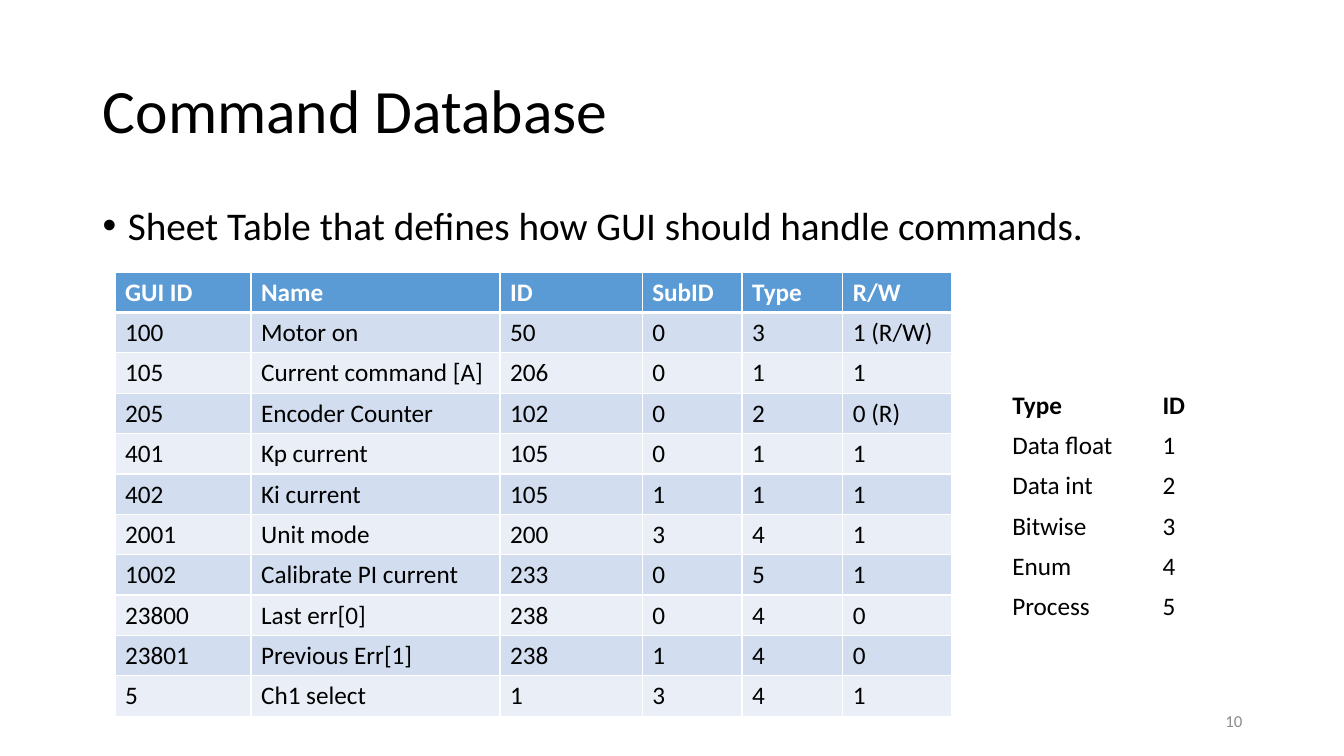
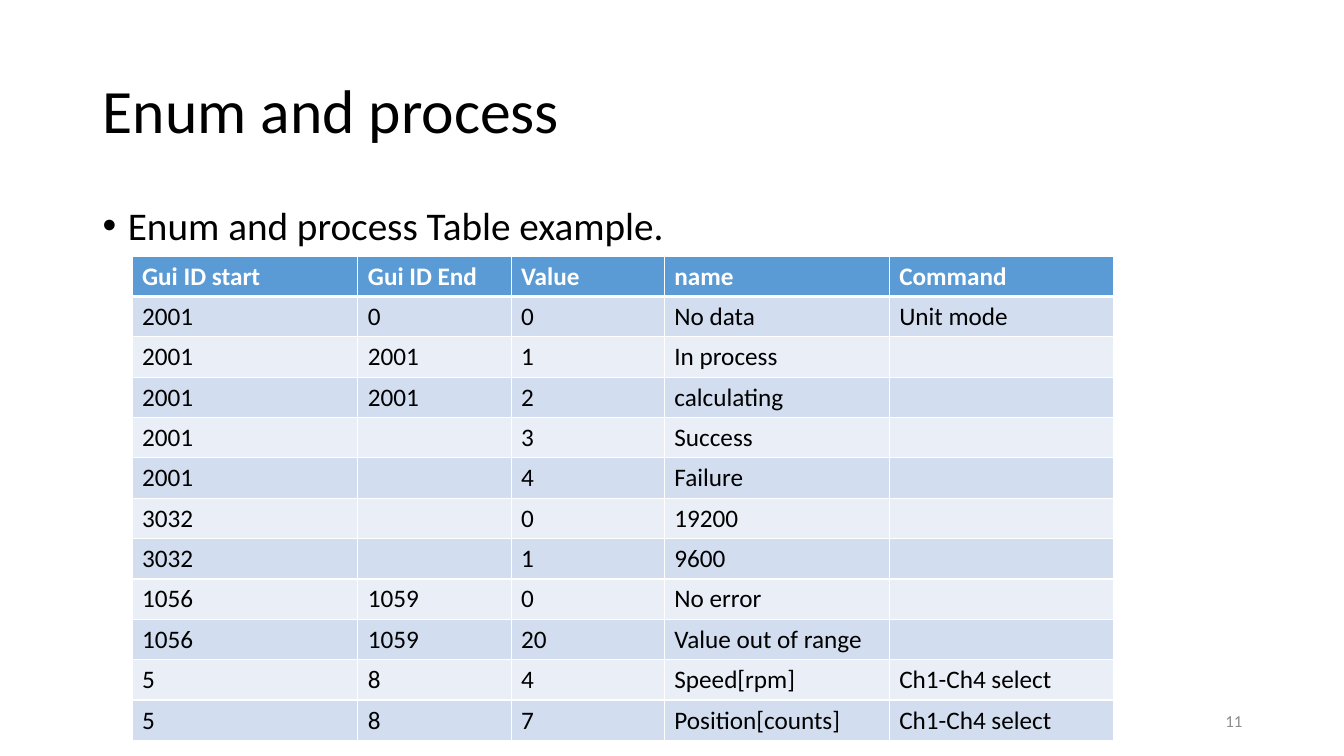
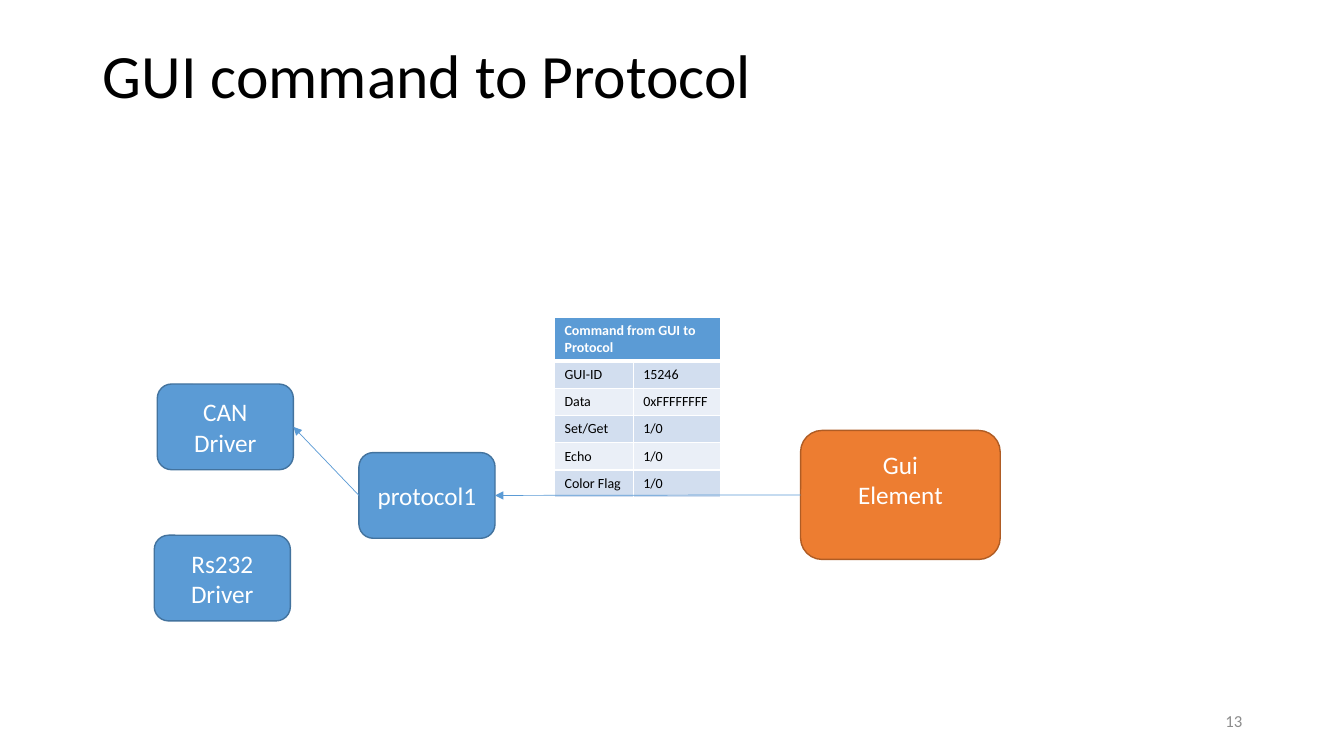
"""Build three slides on a GUI command database and its protocol."""
from lxml.etree import SubElement
from pptx import Presentation
from pptx.dml.color import RGBColor
from pptx.enum.shapes import MSO_CONNECTOR as Connector, MSO_SHAPE as Shape
from pptx.enum.text import MSO_ANCHOR as Anchor, PP_ALIGN as Align
from pptx.oxml.ns import qn
from pptx.util import Inches, Pt

FONT = "Calibri"
BLACK, WHITE, GRAY = "000000", "FFFFFF", "8C8C8C"
BLUE, DARK_BLUE = "5B9BD5", "43739E"
ORANGE, DARK_ORANGE = "ED7D31", "AF5C24"
BANDS = ["EAEFF7", "D2DEEF"]
NO_STYLE = "{2D5ABB26-0587-4C30-8999-92F81FD0307C}"


def color(value):
    return RGBColor.from_string(value)


def add_text(paragraph, text, size, ink=BLACK, bold=False):
    run = paragraph.add_run()
    run.text = text
    run.font.name = FONT
    run.font.size = Pt(size)
    run.font.bold = bold
    run.font.color.rgb = color(ink)


commands = [
    ["GUI ID", "Name", "ID", "SubID", "Type", "R/W"],
    ["100", "Motor on", "50", "0", "3", "1 (R/W)"],
    ["105", "Current command [A]", "206", "0", "1", "1"],
    ["205", "Encoder Counter", "102", "0", "2", "0 (R)"],
    ["401", "Kp current", "105", "0", "1", "1"],
    ["402", "Ki current", "105", "1", "1", "1"],
    ["2001", "Unit mode", "200", "3", "4", "1"],
    ["1002", "Calibrate PI current", "233", "0", "5", "1"],
    ["23800", "Last err[0]", "238", "0", "4", "0"],
    ["23801", "Previous Err[1]", "238", "1", "4", "0"],
    ["5", "Ch1 select", "1", "3", "4", "1"],
]
types = [
    ["Type", "ID"],
    ["Data float", "1"],
    ["Data int", "2"],
    ["Bitwise", "3"],
    ["Enum", "4"],
    ["Process", "5"],
]
enums = [
    ["Gui ID start", "Gui ID End", "Value", "name", "Command"],
    ["2001", "0", "0", "No data", "Unit mode"],
    ["2001", "2001", "1", "In process", ""],
    ["2001", "2001", "2", "calculating", ""],
    ["2001", "", "3", "Success", ""],
    ["2001", "", "4", "Failure", ""],
    ["3032", "", "0", "19200", ""],
    ["3032", "", "1", "9600", ""],
    ["1056", "1059", "0", "No error", ""],
    ["1056", "1059", "20", "Value out of range", ""],
    ["5", "8", "4", "Speed[rpm]", "Ch1-Ch4 select"],
    ["5", "8", "7", "Position[counts]", "Ch1-Ch4 select"],
]
message = [
    ["Command from GUI to Protocol", ""],
    ["GUI-ID", "15246"],
    ["Data", "0xFFFFFFFF"],
    ["Set/Get", "1/0"],
    ["Echo", "1/0"],
    ["Color Flag", "1/0"],
]

presentation = Presentation()
presentation.slide_width = Inches(13.33)
presentation.slide_height = Inches(7.5)

slides = []
for title_text, bullet, number, anchor in [
    ("Command Database", "Sheet Table that defines how GUI should handle commands.", "10", Anchor.MIDDLE),
    ("Enum and process", "Enum and process Table example.", "11", Anchor.MIDDLE),
    ("GUI command to Protocol", "", "13", Anchor.TOP),
]:
    slide = presentation.slides.add_slide(presentation.slide_layouts[5])
    slides.append(slide)
    title = slide.shapes.title
    title.left, title.top = Inches(0.92), Inches(0.4)
    title.width, title.height = Inches(11.5), Inches(1.45)
    title.text_frame.vertical_anchor = anchor
    paragraph = title.text_frame.paragraphs[0]
    paragraph.alignment = Align.LEFT
    paragraph.line_spacing = 0.9
    add_text(paragraph, title_text, 44)

    if bullet:
        body = slide.shapes.add_textbox(Inches(0.92), Inches(2), Inches(11.5), Inches(4.76))
        body.text_frame.word_wrap = True
        paragraph = body.text_frame.paragraphs[0]
        paragraph.line_spacing = 0.9
        paragraph.space_before = Pt(10)
        properties = paragraph._p.get_or_add_pPr()
        properties.set("marL", str(Inches(0.25)))
        properties.set("indent", str(Inches(-0.25)))
        SubElement(properties, qn("a:buFont"), typeface="Arial")
        SubElement(properties, qn("a:buChar"), char="•")
        add_text(paragraph, bullet, 28)

    footer = slide.shapes.add_textbox(Inches(9.42), Inches(6.95), Inches(3), Inches(0.4))
    footer.text_frame.word_wrap = True
    footer.text_frame.vertical_anchor = Anchor.MIDDLE
    paragraph = footer.text_frame.paragraphs[0]
    paragraph.alignment = Align.RIGHT
    add_text(paragraph, number, 12, GRAY)

command_slide, enum_slide, protocol_slide = slides

for slide, rows, left, top, widths, heading_height, row_height, size, banded in [
    (command_slide, commands, 1.14, 2.7, [1.35, 2.47, 1.41, 0.99, 1, 1.08], 0.4, 0.4, 18, True),
    (command_slide, types, 9.94, 3.82, [1.49, 1.49], 0.4, 0.4, 18, False),
    (enum_slide, enums, 1.31, 2.54, [2.24, 1.52, 1.52, 2.23, 2.23], 0.4, 0.4, 18, True),
    (protocol_slide, message, 5.5, 3.15, [0.78, 0.87], 0.43, 0.27, 10, True),
]:
    height = heading_height + row_height * (len(rows) - 1)
    frame = slide.shapes.add_table(len(rows), len(widths), Inches(left), Inches(top),
                                   Inches(sum(widths)), Inches(height))
    table = frame.table
    table._tbl.tblPr.find(qn("a:tableStyleId")).text = NO_STYLE
    for column, width in zip(table.columns, widths):
        column.width = Inches(width)
    for row_index, values in enumerate(rows):
        heading = row_index == 0
        table.rows[row_index].height = Inches(heading_height if heading else row_height)
        for column_index, value in enumerate(values):
            cell = table.cell(row_index, column_index)
            if banded:
                properties = cell._tc.get_or_add_tcPr()
                top_width = 3 if row_index == 1 else 1
                bottom_width = 3 if heading else 1
                for side, points in zip("LRTB", [1, 1, top_width, bottom_width]):
                    border = SubElement(properties, qn(f"a:ln{side}"), w=str(Pt(points)))
                    SubElement(SubElement(border, qn("a:solidFill")), qn("a:srgbClr"), val=WHITE)
                cell.fill.solid()
                cell.fill.fore_color.rgb = color(BLUE if heading else BANDS[row_index % 2])
            else:
                cell.fill.background()
            if value:
                ink = WHITE if heading and banded else BLACK
                add_text(cell.text_frame.paragraphs[0], value, size, ink, heading)
    if rows is message:
        table.cell(0, 0).merge(table.cell(0, 1))

boxes = {}
for lines, left, top, width, height, fill, outline, bottom_margin in [
    (["Gui", "Element"], 7.94, 4.27, 1.98, 1.28, ORANGE, DARK_ORANGE, 0.35),
    (["protocol1"], 3.56, 4.49, 1.35, 0.85, BLUE, DARK_BLUE, 0.05),
    (["Rs232", "Driver"], 1.53, 5.31, 1.35, 0.85, BLUE, DARK_BLUE, 0.05),
    (["CAN", "Driver"], 1.56, 3.81, 1.35, 0.85, BLUE, DARK_BLUE, 0.05),
]:
    box = protocol_slide.shapes.add_shape(Shape.ROUNDED_RECTANGLE, Inches(left), Inches(top),
                                          Inches(width), Inches(height))
    boxes[lines[0]] = box
    box.shadow.inherit = False
    box.fill.solid()
    box.fill.fore_color.rgb = color(fill)
    box.line.color.rgb = color(outline)
    box.line.width = Pt(1)
    text_frame = box.text_frame
    text_frame.word_wrap = True
    text_frame.vertical_anchor = Anchor.MIDDLE
    text_frame.margin_bottom = Inches(bottom_margin)
    for line_index, line in enumerate(lines):
        paragraph = text_frame.add_paragraph() if line_index else text_frame.paragraphs[0]
        paragraph.alignment = Align.CENTER
        add_text(paragraph, line, 18, WHITE)

for source, target in [("Gui", "protocol1"), ("protocol1", "CAN")]:
    arrow = protocol_slide.shapes.add_connector(Connector.STRAIGHT, 0, 0, 0, 0)
    arrow.begin_connect(boxes[source], 1)
    arrow.end_connect(boxes[target], 3)
    arrow.line.color.rgb = color(BLUE)
    arrow.line.width = Pt(0.5)
    SubElement(arrow.line._get_or_add_ln(), qn("a:tailEnd"), type="triangle")
    SubElement(arrow._element.spPr, qn("a:effectLst"))

presentation.save("out.pptx")
